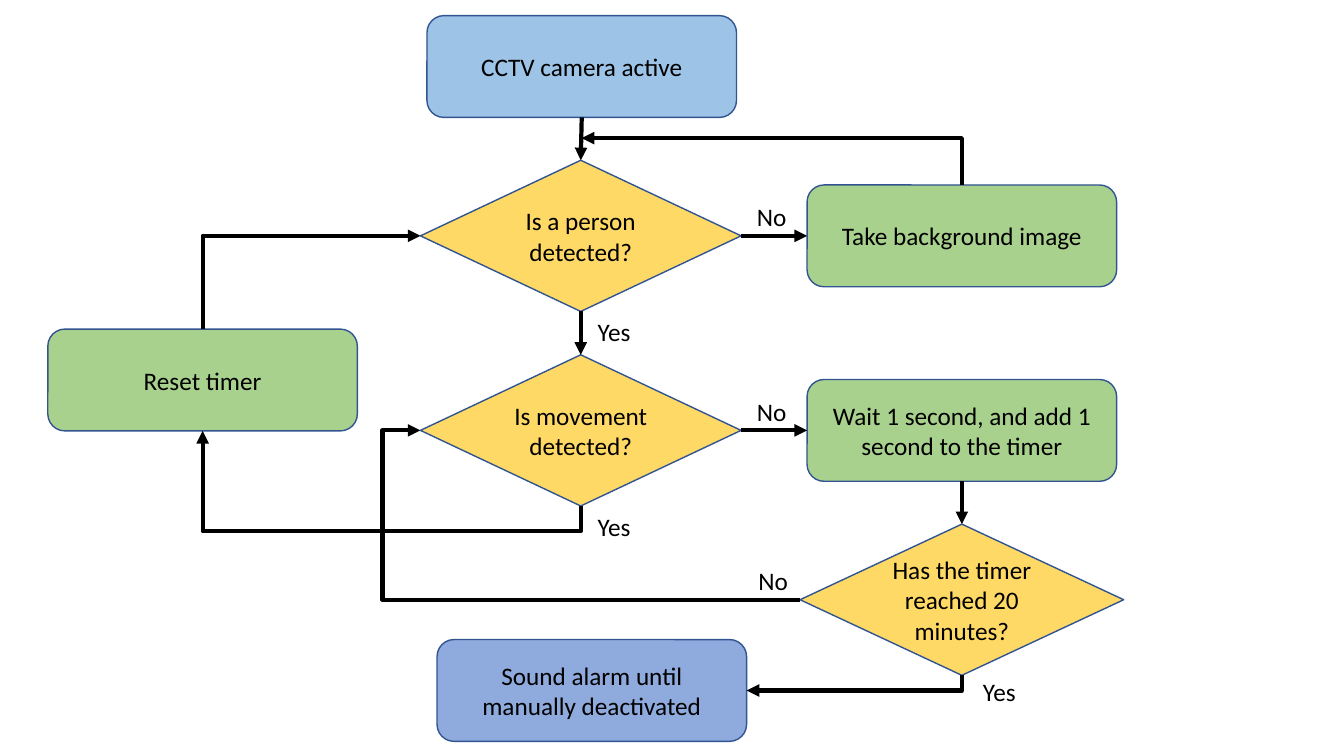
from dataclasses import dataclass

from lxml import etree
from pptx import Presentation
from pptx.dml.color import RGBColor
from pptx.enum.shapes import MSO_CONNECTOR, MSO_SHAPE
from pptx.enum.text import MSO_ANCHOR, MSO_AUTO_SIZE, PP_ALIGN
from pptx.oxml.ns import qn
from pptx.util import Inches, Pt

STEP, ASK = MSO_SHAPE.ROUNDED_RECTANGLE, MSO_SHAPE.DIAMOND
STRAIGHT, ELBOW = MSO_CONNECTOR.STRAIGHT, MSO_CONNECTOR.ELBOW
CENTER, MIDDLE = PP_ALIGN.CENTER, MSO_ANCHOR.MIDDLE
FIT = MSO_AUTO_SIZE.SHAPE_TO_FIT_TEXT


@dataclass(frozen=True)
class Theme:
    start: str = "9DC3E6"
    ask: str = "FFD966"
    act: str = "A9D18E"
    alarm: str = "8FAADC"
    edge: str = "325491"
    ink: str = "000000"
    font: str = "Calibri"
    size: int = 18
    thin: int = 1
    thick: int = 3


THEME = Theme()


@dataclass(frozen=True)
class Node:
    """A flowchart box in inches, known by its centre and size."""
    x: float
    y: float
    w: float
    h: float

    @property
    def left(self):
        return self.x - self.w / 2, self.y

    @property
    def right(self):
        return self.x + self.w / 2, self.y

    @property
    def top(self):
        return self.x, self.y - self.h / 2

    @property
    def bottom(self):
        return self.x, self.y + self.h / 2


def write(frame, text):
    run = frame.paragraphs[0].add_run()
    run.text = text
    run.font.name, run.font.size = THEME.font, Pt(THEME.size)
    run.font.color.rgb = RGBColor.from_string(THEME.ink)


def draw(slide, kind, node, fill, text):
    shape = slide.shapes.add_shape(
        kind, Inches(node.left[0]), Inches(node.top[1]),
        Inches(node.w), Inches(node.h))
    shape.shadow.inherit = False
    shape.fill.solid()
    shape.fill.fore_color.rgb = RGBColor.from_string(fill)
    shape.line.color.rgb = RGBColor.from_string(THEME.edge)
    shape.line.width = Pt(THEME.thin)
    frame = shape.text_frame
    frame.word_wrap, frame.vertical_anchor = True, MIDDLE
    frame.paragraphs[0].alignment = CENTER
    write(frame, text)


def label(slide, x, y, text, width):
    box = slide.shapes.add_textbox(
        Inches(x), Inches(y), Inches(width), Inches(0.4))
    box.text_frame.word_wrap = False
    box.text_frame.auto_size = FIT
    write(box.text_frame, text)


def arrow(slide, start, end, kind=STRAIGHT):
    link = slide.shapes.add_connector(
        kind, *(Inches(n) for n in (*start, *end)))
    link.line.color.rgb = RGBColor.from_string(THEME.ink)
    link.line.width = Pt(THEME.thick)
    line = link.line._get_or_add_ln()
    etree.SubElement(line, qn("a:tailEnd"), type="triangle")
    etree.SubElement(link._element.spPr, qn("a:effectLst"))
    return link


def bend(slide, start, end, upright=True, turn=None):
    """Draw an elbow arrow; turn is the signed way from start to the first
    corner of a two-corner route, and upright says it leaves vertically."""
    run = end[1] - start[1] if upright else end[0] - start[0]
    if upright:
        # Lay the route flat around its middle, then turn it a quarter
        mx, my = (start[0] + end[0]) / 2, (start[1] + end[1]) / 2
        dx, dy = (end[1] - start[1]) / 2, (start[0] - end[0]) / 2
        start, end = (mx - dx, my - dy), (mx + dx, my + dy)
    link = arrow(slide, start, end, ELBOW)
    props = link._element.spPr
    if upright:
        props.find(qn("a:xfrm")).set("rot", "5400000")
    shape = props.find(qn("a:prstGeom"))
    if turn is None:
        shape.set("prst", "bentConnector2")
    else:
        ratio = round(turn / run * 100000)
        etree.SubElement(shape.find(qn("a:avLst")), qn("a:gd"),
                         name="adj1", fmla=f"val {ratio}")


def flow(slide, left, top):
    """Draw the alarm flowchart from the given corner."""
    near, mid, far = left + 2.01, left + 5.76, left + 9.54
    step, ask = (3.07, 1.01), (3.18, 1.5)
    camera = Node(mid + 0.01, top + 0.66, *step)
    person = Node(mid, top + 2.34, *ask)
    image = Node(far, person.y, *step)
    move = Node(mid, top + 4.27, *ask)
    wait = Node(far, move.y, *step)
    reset = Node(near, top + 3.77, *step)
    timer = Node(far, top + 5.95, 3.21, 1.5)
    alarm = Node(mid + 0.11, top + 6.85, *step)

    for kind, node, fill, text in (
            (STEP, camera, THEME.start, "CCTV camera active"),
            (ASK, person, THEME.ask, "Is a person detected?"),
            (STEP, image, THEME.act, "Take background image"),
            (ASK, move, THEME.ask, "Is movement detected?"),
            (STEP, wait, THEME.act,
             "Wait 1 second, and add 1 second to the timer"),
            (STEP, reset, THEME.act, "Reset timer"),
            (ASK, timer, THEME.ask, "Has the timer reached 20 minutes?"),
            (STEP, alarm, THEME.alarm,
             "Sound alarm until manually deactivated")):
        draw(slide, kind, node, fill, text)

    for start, end in ((camera.bottom, person.top),
                       (person.bottom, move.top),
                       (person.right, image.left),
                       (move.right, wait.left),
                       (wait.bottom, timer.top)):
        arrow(slide, start, end)

    bend(slide, image.top, (camera.x, top + 1.37))
    bend(slide, reset.top, person.left)
    bend(slide, timer.bottom, alarm.right)
    bend(slide, move.bottom, reset.bottom, turn=0.25)
    bend(slide, timer.left, move.left, upright=False, turn=-4.14)

    for node, dx, dy in ((person, 0.07, 0), (move, 0.07, 0),
                         (timer, 0.11, -0.04)):
        x, y = node.bottom
        label(slide, x + dx, y + dy, "Yes", 0.53)
    for x, y in (person.right, move.right, (timer.left[0] - 0.57, timer.y)):
        label(slide, x + 0.06, y - 0.39, "No", 0.5)


def main():
    deck = Presentation()
    deck.slide_width, deck.slide_height = Inches(13.33), Inches(7.5)
    slide = deck.slides.add_slide(deck.slide_layouts[6])
    flow(slide, 0, 0)
    deck.save("out.pptx")


if __name__ == "__main__":
    main()
